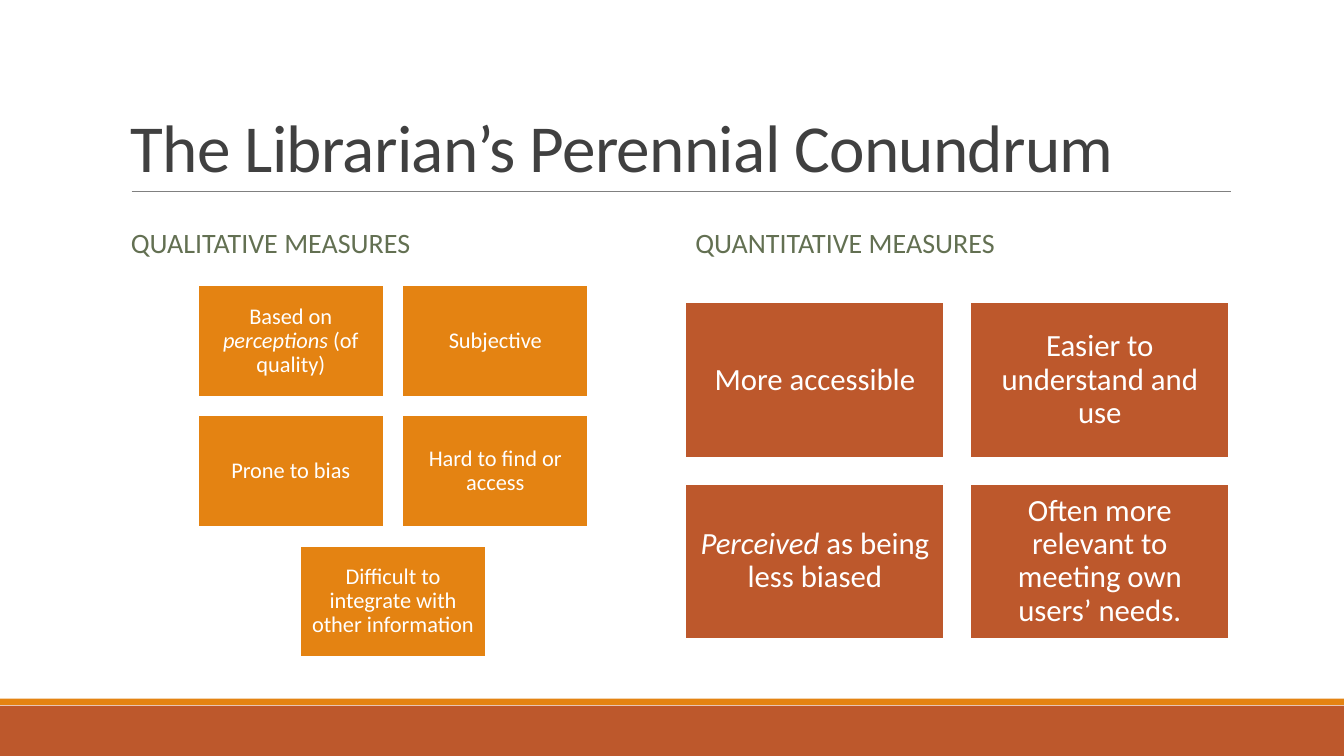
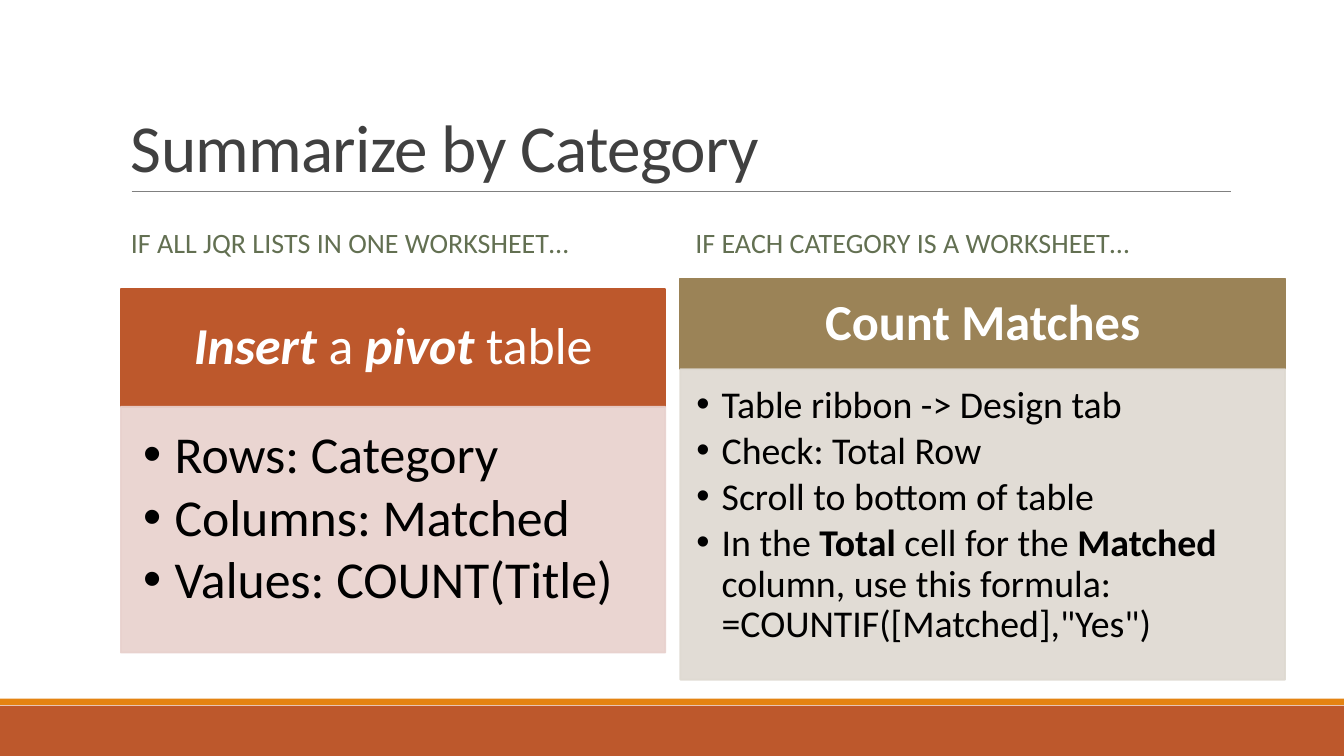
"""Build two slides on journal measures: a pair of card grids and a pair of list panels."""
from lxml.etree import SubElement
from pptx import Presentation
from pptx.dml.color import RGBColor as RGB
from pptx.enum.shapes import MSO_CONNECTOR as LINE, MSO_SHAPE as SHAPE
from pptx.enum.text import MSO_ANCHOR as ANCHOR, PP_ALIGN as ALIGN
from pptx.oxml.ns import qn
from pptx.util import Pt

THEME = {
    "font": "Calibri",
    "rust": "BD582C", "orange": "E48312", "khaki": "9B8357",
    "pink": "E8D1CD", "sand": "DED9D1", "white": "FFFFFF", "black": "000000",
    "title": "404040", "subhead": "637052", "rule": "808080",
    "title_size": 48, "subhead_size": 20,
}
INSET = (7.2, 3.6, 7.2, 3.6)


def add_block(slide, box, fill, outline=None, alpha=None):
    """Add a flat rectangle, with an outline and opacity in percent if given."""
    block = slide.shapes.add_shape(SHAPE.RECTANGLE, *map(Pt, box))
    block.shadow.inherit = False
    block.fill.solid()
    block.fill.fore_color.rgb = RGB.from_string(THEME[fill])
    if outline:
        block.line.color.rgb = RGB.from_string(THEME[outline])
        block.line.width = Pt(1.25)
    else:
        block.line.fill.background()
    if alpha:
        for colour in block._element.spPr.iter(qn("a:srgbClr")):
            SubElement(colour, qn("a:alpha"), val=str(alpha * 1000))
    return block


def write(shape, paragraphs, size, colour, inset=INSET, anchor=ANCHOR.MIDDLE,
          align=ALIGN.LEFT, spacing=0.9, after=0, bullet=0, tracking=0):
    """Fill a shape with paragraphs of (text, style) runs, where style holds b and i."""
    frame = shape.text_frame
    sides = ("margin_left", "margin_top", "margin_right", "margin_bottom")
    frame_format = {"word_wrap": True, "vertical_anchor": anchor, **dict(zip(sides, map(Pt, inset)))}
    for name, value in frame_format.items():
        setattr(frame, name, value)
    for number, runs in enumerate(paragraphs):
        paragraph = frame.add_paragraph() if number else frame.paragraphs[0]
        paragraph_format = {"alignment": align, "line_spacing": spacing, "space_after": Pt(after)}
        for name, value in paragraph_format.items():
            setattr(paragraph, name, value)
        if bullet:
            properties = paragraph._p.get_or_add_pPr()
            properties.set("marL", str(Pt(bullet)))
            properties.set("indent", str(-Pt(bullet)))
            SubElement(properties, qn("a:buFont"), typeface="Arial")
            SubElement(properties, qn("a:buChar"), char="•")
        for text, style in runs:
            for line_number, line in enumerate(text.split("\n")):
                if line_number:
                    paragraph.add_line_break()
                run = paragraph.add_run()
                run.text = line
                run_format = {"name": THEME["font"], "size": Pt(size),
                              "bold": "b" in style, "italic": "i" in style}
                for name, value in run_format.items():
                    setattr(run.font, name, value)
                run.font.color.rgb = RGB.from_string(THEME[colour])
                if tracking:
                    run._r.get_or_add_rPr().set("spc", str(int(tracking * 100)))


deck = Presentation()
deck.slide_width, deck.slide_height = Pt(960), Pt(540)

topics = [
    ("The Librarian’s Perennial Conundrum", "QUALITATIVE MEASURES", "QUANTITATIVE MEASURES"),
    ("Summarize by Category", "IF ALL JQR LISTS IN ONE WORKSHEET…", "IF EACH CATEGORY IS A WORKSHEET…"),
]
slides = []
for title, *subheads in topics:
    slide = deck.slides.add_slide(deck.slide_layouts[6])
    slides.append(slide)
    add_block(slide, (0, 504, 960, 36), "rust")
    add_block(slide, (0, 499, 960, 4.6), "orange")
    rule = slide.shapes.add_connector(LINE.STRAIGHT, Pt(94), Pt(136.8), Pt(879), Pt(136.8))
    rule.line.color.rgb = RGB.from_string(THEME["rule"])
    rule.line.width = Pt(0.5)
    SubElement(rule._element.spPr, qn("a:effectLst"))
    heading = slide.shapes.add_textbox(Pt(86.4), Pt(22.6), Pt(792), Pt(114.2))
    write(heading, [[(title, "")]], THEME["title_size"], "title",
          anchor=ANCHOR.BOTTOM, spacing=0.85, tracking=-0.5)
    for left, subhead in zip((86.4, 489.6), subheads):
        label = slide.shapes.add_textbox(Pt(left), Pt(145.4), Pt(388.8), Pt(58))
        write(label, [[(subhead, "")]], THEME["subhead_size"], "subhead")

conundrum, summary = slides

card_grids = [
    {"left": 141.3, "top": 203.9, "width": 132.8, "fill": "orange", "size": 16, "inset": 5, "cards": [
        [("Based on ", ""), ("perceptions", "i"), (" (of quality)", "")],
        [("Subjective", "")],
        [("Prone to bias", "")],
        [("Hard to find or access", "")],
        [("Difficult to integrate with other information", "")],
    ]},
    {"left": 489.6, "top": 216, "width": 185, "fill": "rust", "size": 22, "inset": 6.5, "cards": [
        [("More accessible", "")],
        [("Easier to understand and use", "")],
        [("Perceived ", "i"), ("as being less biased", "")],
        [("Often more relevant to meeting own users’ needs.", "")],
    ]},
]
for grid in card_grids:
    width, cards = grid["width"], grid["cards"]
    height, gap = 0.6 * width, 0.1 * width
    for number, runs in enumerate(cards):
        row, column = divmod(number, 2)
        if number == len(cards) - 1 and column == 0:
            column = 0.5
        box = (grid["left"] + column * (width + gap), grid["top"] + row * (height + gap), width, height)
        card = add_block(conundrum, box, grid["fill"], "white")
        write(card, [runs], grid["size"], "white", (grid["inset"],) * 4, align=ALIGN.CENTER)

panels = [
    {"left": 86.4, "top": 206.5, "width": 388.8, "head_height": 84, "body_height": 175.7,
     "head_fill": "rust", "body_fill": "pink", "head_size": 37, "body_size": 37,
     "inset": (15.8, 15.8, 21, 23), "after": 4.8, "bullet": 22.5,
     "head": [("Insert", "bi"), (" a ", ""), ("pivot", "bi"), (" table", "")],
     "steps": [[("Rows: Category", "")], [("Columns: Matched", "")], [("Values: COUNT(Title)", "")]]},
    {"left": 486, "top": 198.9, "width": 432, "head_height": 64.8, "body_height": 221.8,
     "head_fill": "khaki", "body_fill": "sand", "head_size": 36, "body_size": 27,
     "inset": (11.5, 11.5, 15, 17), "after": 3.7, "bullet": 18,
     "head": [("Count Matches", "b")],
     "steps": [
         [("Table ribbon -> Design tab", "")],
         [("Check: Total Row", "")],
         [("Scroll to bottom of table", "")],
         [("In the ", ""), ("Total", "b"), (" cell for the ", ""), ("Matched", "b"),
          (" column, use this formula:\n=COUNTIF([Matched],\"Yes\")", "")],
     ]},
]
for panel in panels:
    left, top, width = panel["left"], panel["top"], panel["width"]
    head = add_block(summary, (left, top, width, panel["head_height"]),
                     panel["head_fill"], panel["head_fill"])
    write(head, [panel["head"]], panel["head_size"], "white", (20.5, 11.5, 20.5, 11.5), align=ALIGN.CENTER)
    body = add_block(summary, (left, top + panel["head_height"], width, panel["body_height"]),
                     panel["body_fill"], panel["body_fill"], alpha=90)
    write(body, panel["steps"], panel["body_size"], "black", panel["inset"],
          anchor=ANCHOR.TOP, after=panel["after"], bullet=panel["bullet"])

deck.save("out.pptx")
